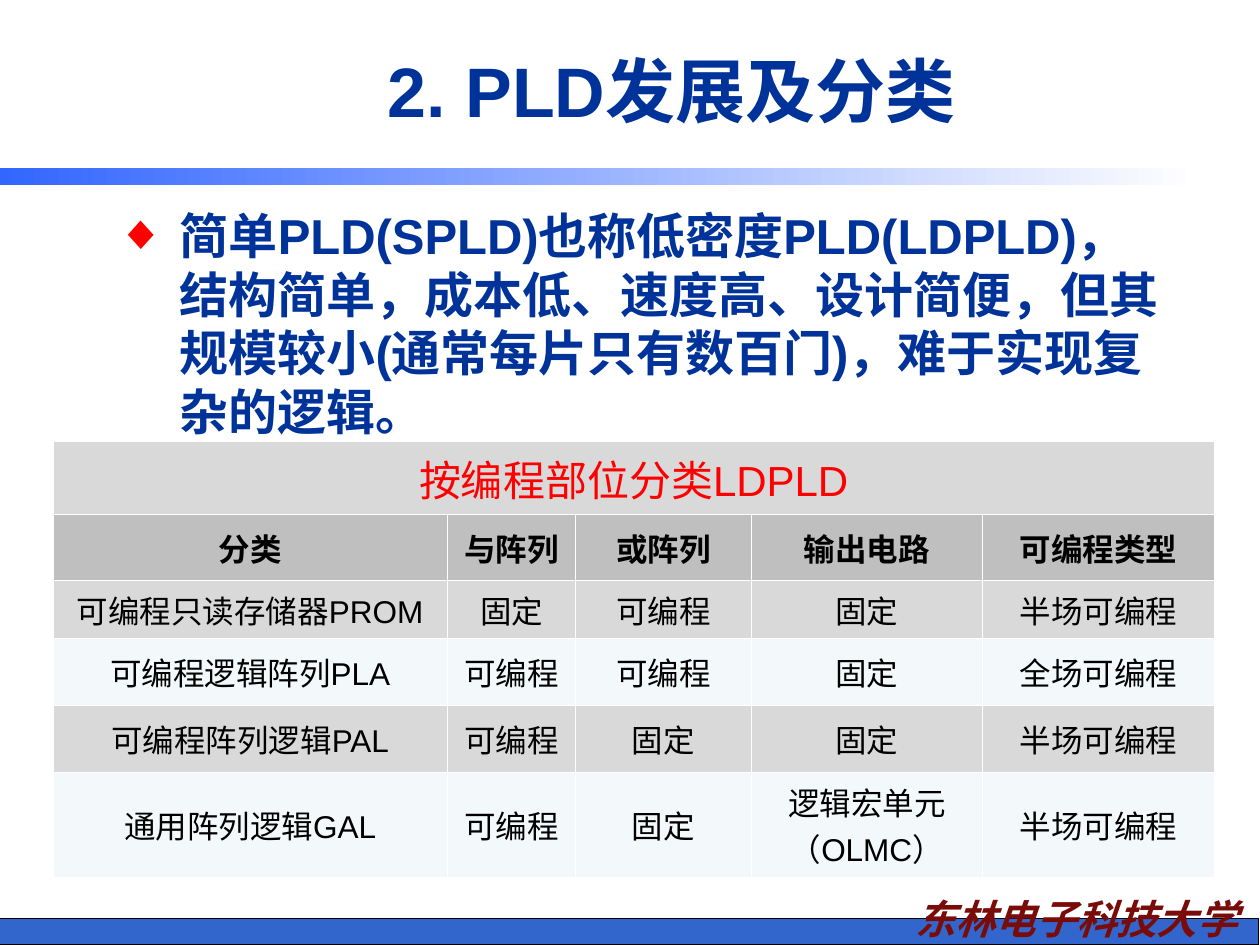
from lxml.etree import SubElement
from pptx import Presentation
from pptx.dml.color import RGBColor
from pptx.enum.shapes import MSO_SHAPE
from pptx.enum.text import MSO_ANCHOR, PP_ALIGN
from pptx.oxml.ns import qn
from pptx.util import Inches, Pt


def color(hex_value):
    return RGBColor.from_string(hex_value)


class SlideBuilder:
    latin_font = "Arial"
    chinese_font = "Noto Sans CJK SC"
    navy = "003399"
    red = "FF0000"

    def __init__(self, slide):
        self.slide = slide

    def style(self, paragraph, size, hex_value, bold=False, italic=False,
              align=PP_ALIGN.CENTER, latin=None):
        paragraph.alignment = align
        font = paragraph.font
        font.size, font.bold, font.italic = Pt(size), bold, italic
        font.color.rgb = color(hex_value)
        font.name = latin or self.latin_font
        # East Asian typeface
        properties = paragraph._p.get_or_add_pPr().find(qn("a:defRPr"))
        SubElement(properties, qn("a:ea"), typeface=self.chinese_font)

    def bar(self, left, top, width, height):
        shape = self.slide.shapes.add_shape(
            MSO_SHAPE.RECTANGLE, Inches(left), Inches(top), Inches(width), Inches(height))
        shape.shadow.inherit = False
        return shape

    def solid_bar(self, *box, fill, line):
        shape = self.bar(*box)
        shape.fill.solid()
        shape.fill.fore_color.rgb = color(fill)
        shape.line.color.rgb = color(line)
        shape.line.width = Pt(0.75)

    def gradient_bar(self, *box, colors):
        shape = self.bar(*box)
        shape.fill.gradient()
        shape.fill.gradient_angle = 0
        for stop, hex_value in zip(shape.fill.gradient_stops, colors):
            stop.color.rgb = color(hex_value)
        shape.line.fill.background()

    def text(self, left, top, width, height, text, size, hex_value,
             anchor=MSO_ANCHOR.TOP, **style):
        box = self.slide.shapes.add_textbox(
            Inches(left), Inches(top), Inches(width), Inches(height))
        frame = box.text_frame
        frame.word_wrap = True
        frame.vertical_anchor = anchor
        paragraph = frame.paragraphs[0]
        paragraph.text = text
        self.style(paragraph, size, hex_value, **style)
        return paragraph

    def bullet(self, paragraph, character, hex_value, indent):
        paragraph.level = 1
        properties = paragraph._p.get_or_add_pPr()
        properties.set("marL", str(Inches(indent)))
        properties.set("indent", str(-Inches(indent)))
        properties.set("hangingPunct", "0")
        bullet_color = SubElement(properties, qn("a:buClr"))
        SubElement(bullet_color, qn("a:srgbClr"), val=hex_value)
        SubElement(properties, qn("a:buFont"), typeface=self.latin_font)
        SubElement(properties, qn("a:buChar"), char=character)
        # Character defaults come last in the paragraph properties
        properties.append(properties.find(qn("a:defRPr")))

    def cell(self, cell, text, fill, size=18, hex_value="000000", bold=False,
             anchor=MSO_ANCHOR.MIDDLE):
        properties = cell._tc.get_or_add_tcPr()
        for side in ("lnL", "lnR", "lnT", "lnB"):
            border = SubElement(properties, qn(f"a:{side}"), w=str(Pt(0.45)))
            border_fill = SubElement(border, qn("a:solidFill"))
            SubElement(border_fill, qn("a:srgbClr"), val="FFFFFF")
        cell.fill.solid()
        cell.fill.fore_color.rgb = color(fill)
        cell.vertical_anchor = anchor
        paragraph = cell.text_frame.paragraphs[0]
        paragraph.text = text
        self.style(paragraph, size, hex_value, bold)

    def table(self, left, top, widths, heights, title, header, rows):
        table = self.slide.shapes.add_table(
            len(heights), len(widths), Inches(left), Inches(top),
            Inches(sum(widths)), Inches(sum(heights))).table
        for column, width in zip(table.columns, widths):
            column.width = Inches(width)
        for row, height in zip(table.rows, heights):
            row.height = Inches(height)

        # Merged title row
        table.cell(0, 0).merge(table.cell(0, len(widths) - 1))
        self.cell(table.cell(0, 0), title, "D9D9D9", 24, self.red, anchor=MSO_ANCHOR.TOP)

        # Header row, then banded rows
        for column, text in enumerate(header):
            self.cell(table.cell(1, column), text, "BFBFBF", bold=True)
        for index, row in enumerate(rows):
            fill = ("D9D9D9", "F3F9FA")[index % 2]
            for column, text in enumerate(row):
                self.cell(table.cell(index + 2, column), text, fill)


def main():
    presentation = Presentation()
    presentation.slide_width, presentation.slide_height = Inches(10), Inches(7.5)
    slide = presentation.slides.add_slide(presentation.slide_layouts[6])
    builder = SlideBuilder(slide)

    # Footer and divider
    builder.solid_bar(-0.01, 7.29, 10, 0.21, fill="3366CC", line="000000")
    builder.text(6.97, 7.05, 3.15, 0.49, "东林电子科技大学", 23, "790C09",
                 bold=True, italic=True, latin=builder.chinese_font)
    builder.gradient_bar(0, 1.33, 9.51, 0.14, colors=("3366FF", "FFFFFF"))

    # Title
    builder.text(1.33, 0.17, 8, 1.08, "2. PLD发展及分类", 40, builder.navy,
                 anchor=MSO_ANCHOR.MIDDLE, bold=True)

    # Body
    body = builder.text(
        0.83, 1.58, 8.5, 5,
        "简单PLD(SPLD)也称低密度PLD(LDPLD)，结构简单，成本低、速度高、设计简便，"
        "但其规模较小(通常每片只有数百门)，难于实现复杂的逻辑。",
        28, builder.navy, bold=True, align=PP_ALIGN.LEFT)
    builder.bullet(body, "◆", builder.red, 0.5)
    body.space_before = Pt(5.8)

    # Classification table
    builder.table(
        0.42, 3.5,
        widths=(3.13, 1.02, 1.39, 1.84, 1.84),
        heights=(0.58, 0.53, 0.46, 0.53, 0.53, 0.83),
        title="按编程部位分类LDPLD",
        header=("分类", "与阵列", "或阵列", "输出电路", "可编程类型"),
        rows=(
            ("可编程只读存储器PROM", "固定", "可编程", "固定", "半场可编程"),
            ("可编程逻辑阵列PLA", "可编程", "可编程", "固定", "全场可编程"),
            ("可编程阵列逻辑PAL", "可编程", "固定", "固定", "半场可编程"),
            ("通用阵列逻辑GAL", "可编程", "固定", "逻辑宏单元（OLMC）", "半场可编程"),
        ))

    presentation.save("out.pptx")


if __name__ == "__main__":
    main()
